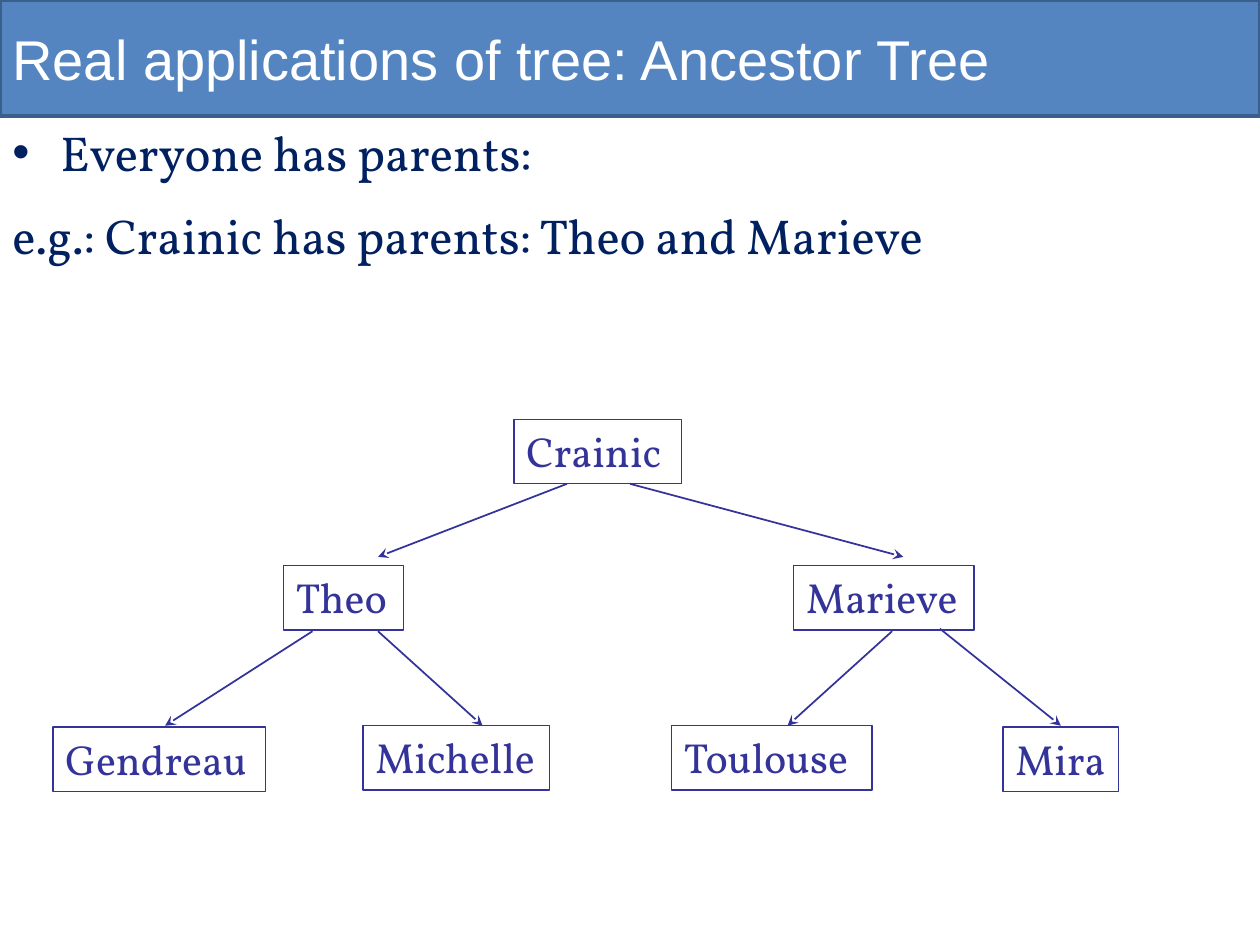
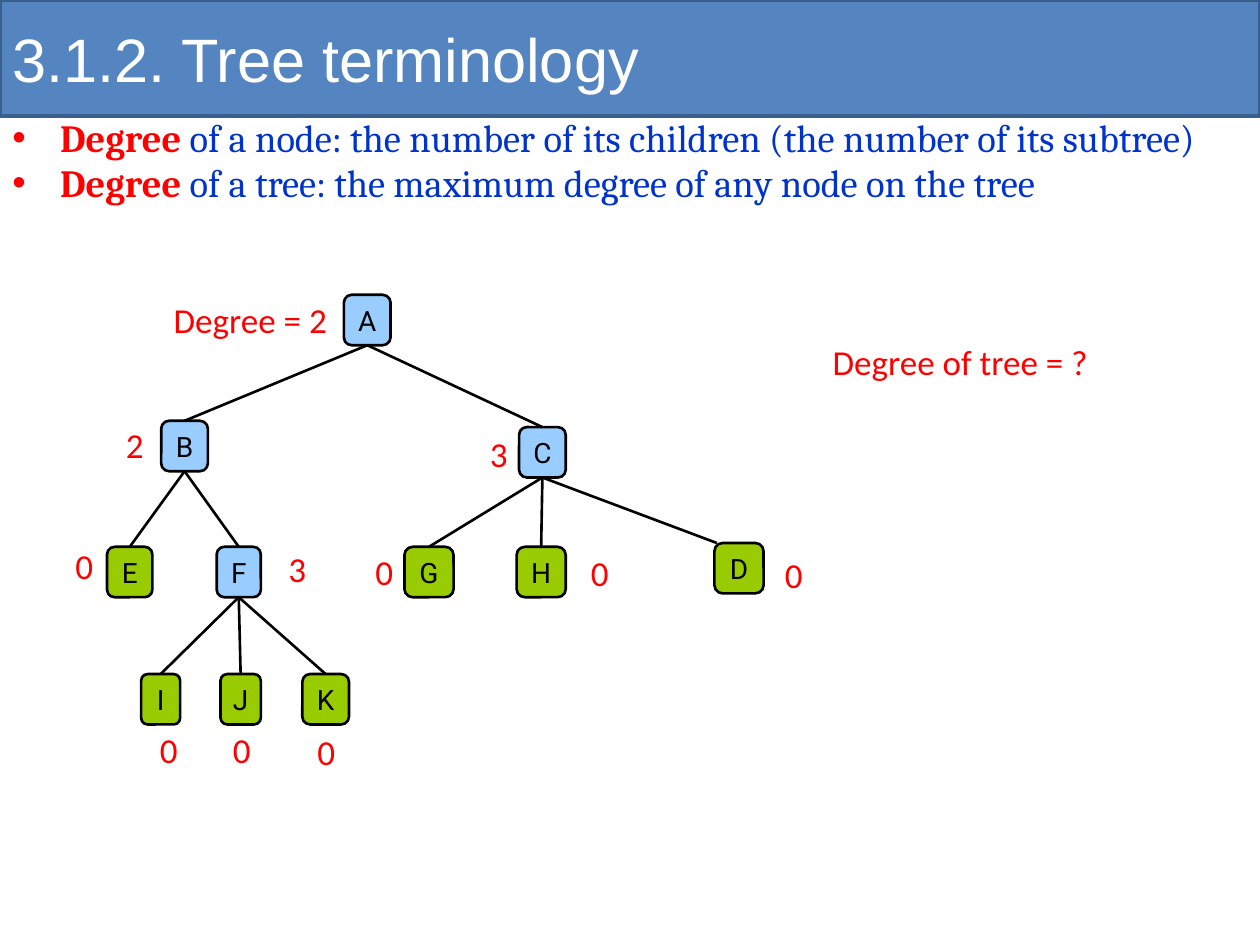
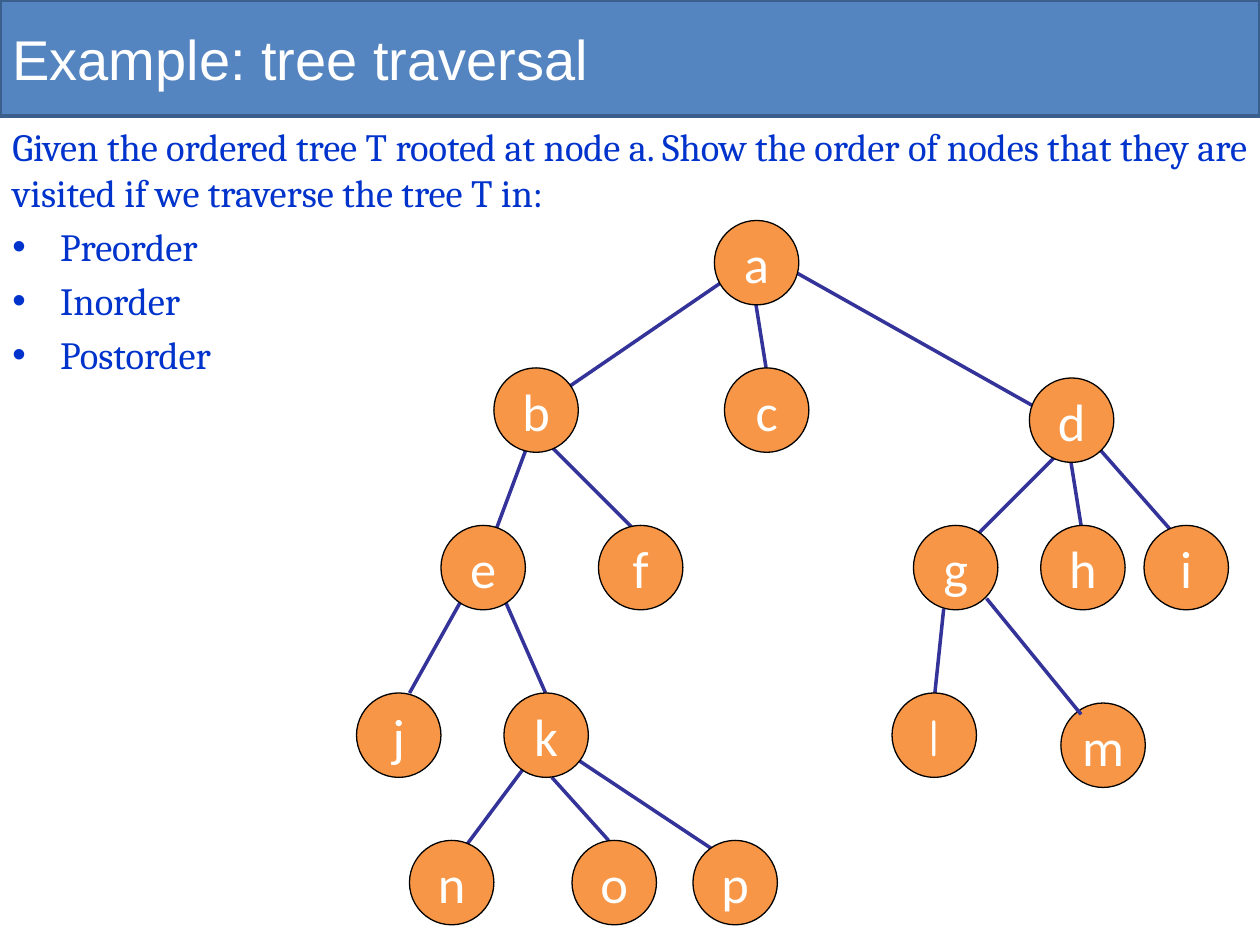
from lxml import etree
from pptx import Presentation
from pptx.dml.color import RGBColor
from pptx.enum.shapes import MSO_CONNECTOR as Link, MSO_SHAPE as Preset
from pptx.enum.text import MSO_ANCHOR as Anchor, PP_ALIGN as Align
from pptx.oxml.ns import qn
from pptx.util import Inches, Pt

WHITE = RGBColor(0xFF, 0xFF, 0xFF)
BLACK = RGBColor(0x00, 0x00, 0x00)
BAND = RGBColor(0x54, 0x85, 0xC0)
BAND_EDGE = RGBColor(0x3A, 0x5F, 0x8C)
NAVY = RGBColor(0x00, 0x20, 0x60)
INDIGO = RGBColor(0x33, 0x33, 0x99)
BLUE = RGBColor(0x00, 0x33, 0xCC)
RED = RGBColor(0xFF, 0x00, 0x00)
SKY = RGBColor(0x99, 0xCC, 0xFF)
LIME = RGBColor(0x99, 0xCC, 0x00)
ORANGE = RGBColor(0xF7, 0x96, 0x46)

TITLE_BOX = (0, 0, 10, 0.92)
BODY_BOX = (0, 0.93, 10, 2)

FAMILY_ORIGIN = (0, 3)
PERSON_HEIGHT = 0.51
PEOPLE = [
    ("Crainic", 4.08, 0.33, 1.33),
    ("Theo", 2.25, 1.49, 0.95),
    ("Marieve", 6.3, 1.49, 1.43),
    ("Gendreau", 0.42, 2.77, 1.69),
    ("Michelle", 2.88, 2.76, 1.48),
    ("Toulouse", 5.33, 2.76, 1.59),
    ("Mira", 7.96, 2.77, 0.92),
]
PARENT_ARROWS = [
    (4.5, 0.84, 3, 1.42), (5, 0.84, 7.17, 1.42),
    (2.48, 2.01, 1.31, 2.76), (3, 2.01, 3.83, 2.76),
    (7.08, 2.01, 6.25, 2.76), (7.46, 1.99, 8.42, 2.76),
]

DEGREE_ORIGIN = (0, 2)
NODE_HEIGHT = 0.4
DEGREE_NODES = {
    "A": (2.73, 0.34, 0.37), "B": (1.28, 1.34, 0.37), "C": (4.12, 1.39, 0.37),
    "D": (5.67, 2.31, 0.39), "E": (0.85, 2.34, 0.36), "F": (1.72, 2.34, 0.35),
    "G": (3.21, 2.34, 0.39), "H": (4.1, 2.34, 0.39), "I": (1.12, 3.35, 0.31),
    "J": (1.75, 3.35, 0.32), "K": (2.4, 3.35, 0.37),
}
CHILDREN = {"A": "BC", "B": "EF", "C": "GHD", "F": "IJK"}
CORNER_JOINED = "D"
DEGREE_LABELS = [
    ("Degree = 2", 1.28, 0.32, 1.49), ("2", 0.9, 1.31, 0.58),
    ("3", 3.79, 1.38, 0.58), ("0", 6.13, 2.34, 0.58),
    ("0", 0.5, 2.27, 0.58), ("3", 2.19, 2.3, 0.58),
    ("0", 2.88, 2.32, 0.58), ("0", 4.59, 2.33, 0.58),
    ("0", 1.17, 3.73, 0.58), ("0", 1.75, 3.73, 0.58),
    ("0", 2.42, 3.75, 0.58), ("Degree of tree = ?", 6.51, 0.65, 2.74),
]

TRAVERSAL_ORIGIN = (2, 1)
CIRCLE = 0.67
CIRCLES = {
    "a": (3.67, 0.75), "b": (1.92, 1.92), "c": (3.75, 1.92), "d": (6.17, 2),
    "e": (1.5, 3.17), "f": (2.75, 3.17), "g": (5.25, 3.17), "h": (6.26, 3.17),
    "i": (7.08, 3.17), "j": (0.83, 4.5), "k": (2, 4.5), "l": (5.08, 4.5),
    "m": (6.42, 4.58), "n": (1.25, 5.67), "o": (2.54, 5.67), "p": (3.5, 5.67),
}
BRANCHES = [
    (4, 1.42, 4.08, 1.92), (3.83, 1.17, 2.5, 2.08), (4.33, 1.17, 6.25, 2.25),
    (2.17, 2.58, 1.92, 3.25), (2.33, 2.5, 3.08, 3.25),
    (6.42, 2.58, 5.67, 3.33), (6.5, 2.67, 6.58, 3.17), (6.67, 2.5, 7.33, 3.25),
    (1.67, 3.75, 1.25, 4.5), (2, 3.75, 2.33, 4.5), (5.49, 3.83, 5.42, 4.5),
    (2.17, 5.08, 1.67, 5.75), (2.38, 5.17, 2.83, 5.67), (2.6, 5.04, 3.67, 5.75),
]
FRONT_BRANCH = (6.58, 4.67, 5.83, 3.75)


def write(para, text, *, size, font, color, bold=False):
    """Add one formatted span of text to a paragraph."""
    span = para.add_run()
    span.text = text
    span.font.size = Pt(size)
    span.font.name = font
    span.font.color.rgb = color
    span.font.bold = bold


def add_bullet(para):
    """Give a paragraph a round bullet with a hanging indent."""
    props = para._p.get_or_add_pPr()
    props.set("marL", str(Inches(0.38)))
    props.set("indent", str(Inches(-0.38)))
    etree.SubElement(props, qn("a:buFont")).set("typeface", "Arial")
    etree.SubElement(props, qn("a:buChar")).set("char", "•")


def add_shape(page, preset, box, *, fill=None, line, width):
    """Draw a flat preset shape in a box given in inches."""
    shape = page.shapes.add_shape(preset, *map(Inches, box))
    shape.shadow.inherit = False
    if fill is None:
        shape.fill.background()
    else:
        shape.fill.solid()
        shape.fill.fore_color.rgb = fill
    shape.line.color.rgb = line
    shape.line.width = Pt(width)
    return shape


def label_shape(shape, text, *, align=Align.LEFT, anchor=Anchor.MIDDLE, wrap=True, **style):
    """Write a single line of text into a shape."""
    frame = shape.text_frame
    frame.word_wrap = wrap
    frame.vertical_anchor = anchor
    para = frame.paragraphs[0]
    para.alignment = align
    write(para, text, **style)


def add_line(page, origin, ends, *, color, width, arrow=False):
    """Draw a straight line, with an optional stealth head, relative to an origin."""
    left, top = origin
    x1, y1, x2, y2 = ends
    points = (left + x1, top + y1, left + x2, top + y2)
    line = page.shapes.add_connector(Link.STRAIGHT, *map(Inches, points))
    line.line.color.rgb = color
    line.line.width = Pt(width)
    props = line.element.spPr
    if arrow:
        etree.SubElement(props.find(qn("a:ln")), qn("a:tailEnd")).set("type", "stealth")
    etree.SubElement(props, qn("a:effectLst"))


def add_title(page, text, size=32):
    """Draw the title band with its text."""
    band = add_shape(page, Preset.RECTANGLE, TITLE_BOX, fill=BAND, line=BAND_EDGE, width=2)
    label_shape(band, text, size=size, font="Arial", color=WHITE)


def add_body(page, box, items, *, size, font, color, gap, spacing=None):
    """Write the body paragraphs, each a bullet flag, a red lead and a text."""
    frame = page.shapes.add_textbox(*map(Inches, box)).text_frame
    frame.word_wrap = True
    for index, (bulleted, lead, text) in enumerate(items):
        para = frame.add_paragraph() if index else frame.paragraphs[0]
        if bulleted:
            add_bullet(para)
        if index:
            para.space_before = Pt(gap)
        if spacing:
            para.line_spacing = spacing
        if lead:
            write(para, lead, size=size, font=font, color=RED, bold=True)
        write(para, text, size=size, font=font, color=color)


def draw_family(page, origin):
    """Draw the ancestor tree of framed names."""
    left, top = origin
    for name, x, y, width in PEOPLE:
        box = (left + x, top + y, width, PERSON_HEIGHT)
        frame = add_shape(page, Preset.RECTANGLE, box, line=INDIGO, width=0.75)
        label_shape(frame, name, anchor=Anchor.TOP, size=24, font="Vollkorn", color=INDIGO)
    for ends in PARENT_ARROWS:
        add_line(page, origin, ends, color=INDIGO, width=1, arrow=True)


def draw_degrees(page, origin):
    """Draw the tree of lettered nodes with the degree of each."""
    left, top = origin
    for name, (x, y, width) in DEGREE_NODES.items():
        fill = SKY if name in CHILDREN else LIME
        box = (left + x, top + y, width, NODE_HEIGHT)
        node = add_shape(page, Preset.ROUNDED_RECTANGLE, box, fill=fill, line=BLACK, width=1.5)
        label_shape(node, name, align=Align.CENTER, wrap=False,
                    size=16, font="Roboto", color=BLACK)
    for parent, names in CHILDREN.items():
        x1, y1, width = DEGREE_NODES[parent]
        for name in names:
            x2, y2, child_width = DEGREE_NODES[name]
            reach = 0.02 if name in CORNER_JOINED else child_width / 2
            ends = (x1 + width / 2, y1 + NODE_HEIGHT, x2 + reach, y2)
            add_line(page, origin, ends, color=BLACK, width=1.5)
    for text, x, y, width in DEGREE_LABELS:
        label = page.shapes.add_textbox(*map(Inches, (left + x, top + y, width, 0.44)))
        label_shape(label, text, anchor=Anchor.TOP, size=20, font="Calibri", color=RED)


def draw_traversal(page, origin):
    """Draw the ordered tree of round nodes."""
    left, top = origin
    for ends in BRANCHES:
        add_line(page, origin, ends, color=INDIGO, width=2)
    for name, (x, y) in CIRCLES.items():
        box = (left + x, top + y, CIRCLE, CIRCLE)
        node = add_shape(page, Preset.OVAL, box, fill=ORANGE, line=BLACK, width=0.75)
        label_shape(node, name, align=Align.CENTER, wrap=False, size=30,
                    font="Comic Neue" if name == "l" else "Calibri", color=WHITE)
    add_line(page, origin, FRONT_BRANCH, color=INDIGO, width=2)


def build_ancestors(page):
    """Build the ancestor tree slide."""
    add_title(page, "Real applications of tree: Ancestor Tree")
    items = [(True, "", "Everyone has parents:"),
             (False, "", "e.g.: Crainic has parents: Theo and Marieve")]
    add_body(page, (0, 0.92, 10.08, 1.25), items,
             size=28, font="Vollkorn", color=NAVY, gap=14)
    draw_family(page, FAMILY_ORIGIN)


def build_terminology(page):
    """Build the slide that defines degree."""
    add_title(page, "3.1.2. Tree terminology", size=35)
    items = [(True, "Degree", " of a node: the number of its children (the number of its subtree)"),
             (True, "Degree", " of a tree: the maximum degree of any node on the tree")]
    add_body(page, BODY_BOX, items, size=22, font="Cambria", color=BLUE, gap=4.4, spacing=0.8)
    draw_degrees(page, DEGREE_ORIGIN)


def build_traversal(page):
    """Build the tree traversal exercise slide."""
    add_title(page, "Example: tree traversal")
    task = ("Given the ordered tree T rooted at node a. Show the order of nodes "
            "that they are visited if we traverse the tree T in:")
    orders = [(True, "", order) for order in ("Preorder", "Inorder", "Postorder")]
    add_body(page, BODY_BOX, [(False, "", task)] + orders,
             size=22, font="Cambria", color=BLUE, gap=4.4)
    draw_traversal(page, TRAVERSAL_ORIGIN)


def main():
    """Build and save the deck."""
    deck = Presentation()
    deck.slide_width, deck.slide_height = Inches(10), Inches(7.5)
    for build in (build_ancestors, build_terminology, build_traversal):
        build(deck.slides.add_slide(deck.slide_layouts[6]))
    deck.save("out.pptx")


if __name__ == "__main__":
    main()
